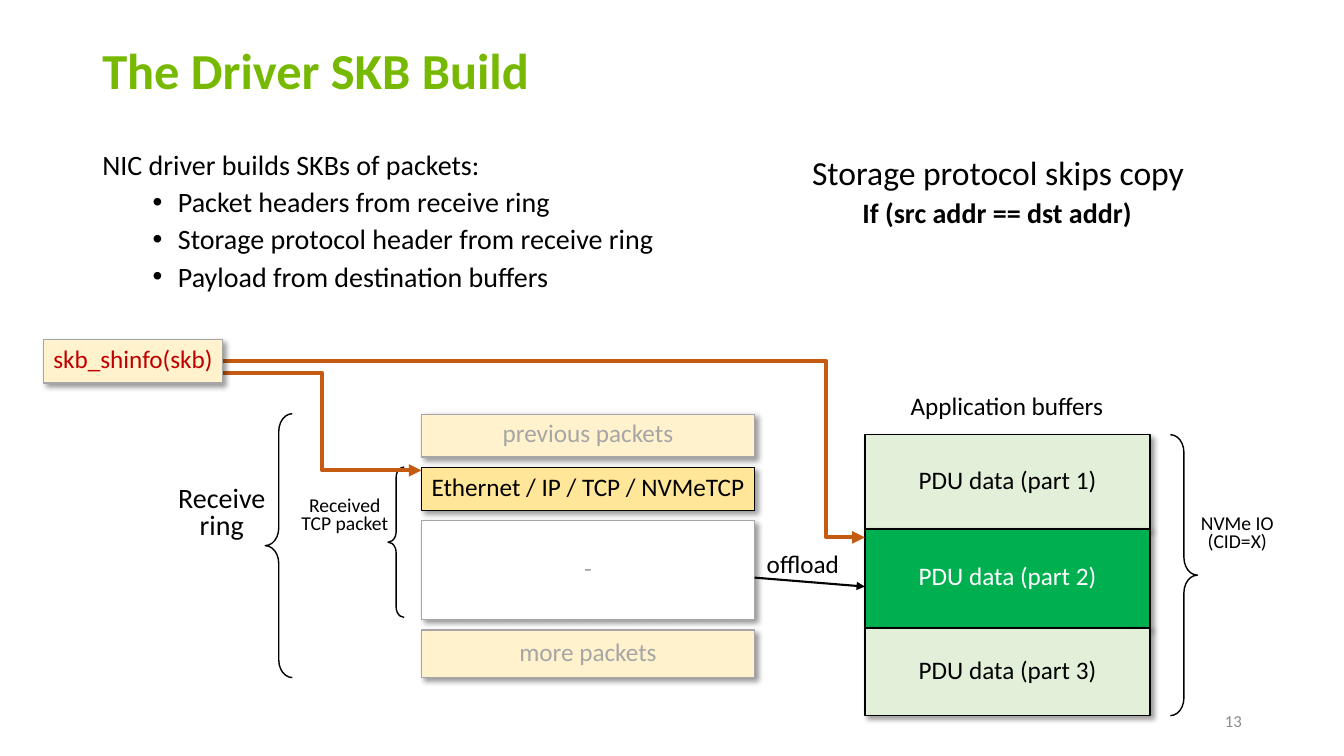
from lxml import etree
from pptx import Presentation
from pptx.dml.color import RGBColor
from pptx.enum.shapes import MSO_CONNECTOR as Link, MSO_SHAPE as Preset
from pptx.enum.text import MSO_ANCHOR as Anchor, PP_ALIGN as Align
from pptx.oxml import parse_xml
from pptx.oxml.ns import nsdecls, qn
from pptx.util import Pt

COLORS = {
    "title": "76B900", "black": "000000", "white": "FFFFFF",
    "cream": "FFF2CC", "header": "FFE699", "pale": "E2F0D9",
    "target": "00B050", "faded": "A6A6A6", "pointer": "C55A11",
    "skb": "C00000", "number": "8C8C8C",
}
FONT = "Calibri"
SHADOW = (
    f'<a:effectLst {nsdecls("a")}><a:outerShdw blurRad="50800" dist="38100" '
    'dir="2700000" algn="tl" rotWithShape="0"><a:srgbClr val="000000">'
    '<a:alpha val="40000"/></a:srgbClr></a:outerShdw></a:effectLst>'
)


def rgb(name):
    return RGBColor.from_string(COLORS[name])


def write(paragraph, text, size=18, color="black", bold=False, align=Align.LEFT,
          spacing=0.8, before=0, indent=0, bullet=None):
    """Fill one paragraph; a bullet hangs 18 pt left of the indent."""
    run = paragraph.add_run()
    run.text = text
    run.font.name, run.font.size, run.font.bold = FONT, Pt(size), bold
    run.font.color.rgb = rgb(color)
    paragraph.alignment = align
    paragraph.line_spacing = spacing
    paragraph.space_before = Pt(before)
    props = paragraph._p.get_or_add_pPr()
    props.set("marL", str(Pt(indent)))
    props.set("indent", str(Pt(-18 if bullet else 0)))
    if bullet:
        etree.SubElement(props, qn("a:buFont")).set("typeface", "Arial")
        etree.SubElement(props, qn("a:buChar")).set("char", bullet)


class SlideBuilder:
    def __init__(self, slide):
        self.shapes = slide.shapes

    def text(self, box, *lines, wrap=True, anchor=Anchor.TOP, **style):
        """Each line is a string, or a pair of string and its own format."""
        frame = self.shapes.add_textbox(*map(Pt, box)).text_frame
        frame.word_wrap = wrap
        frame.vertical_anchor = anchor
        for index, line in enumerate(lines):
            words, own = (line, {}) if isinstance(line, str) else line
            paragraph = frame.add_paragraph() if index else frame.paragraphs[0]
            write(paragraph, words, **{**style, **own})

    def label(self, box, *lines, size=18):
        self.text(box, *lines, wrap=False, size=size, align=Align.CENTER)

    def block(self, box, text, fill, color="black", line="black"):
        shape = self.shapes.add_shape(Preset.RECTANGLE, *map(Pt, box))
        shape.fill.solid()
        shape.fill.fore_color.rgb = rgb(fill)
        shape.line.color.rgb = rgb(line)
        shape.line.width = Pt(1)
        shape._element.spPr.append(parse_xml(SHADOW))
        frame = shape.text_frame
        frame.margin_left = frame.margin_right = 0
        frame.margin_top = frame.margin_bottom = 0
        frame.vertical_anchor = Anchor.MIDDLE
        frame.word_wrap = True
        write(frame.paragraphs[0], text, color=color, align=Align.CENTER)

    def stack(self, left, top, width, gap, rows):
        for height, *look in rows:
            self.block((left, top, width, height), *look)
            top += height + gap

    def brace(self, box, rotation=0):
        brace = self.shapes.add_shape(Preset.RIGHT_BRACE, *map(Pt, box))
        brace.adjustments[0] = 0.65
        brace.rotation = rotation
        brace.shadow.inherit = False
        brace.fill.background()
        brace.line.color.rgb = rgb("black")
        brace.line.width = Pt(1)

    def arrow(self, start, end, color="black", width=1.5, bend=None):
        """A bend is the share of the width at which the elbow turns."""
        kind = Link.STRAIGHT if bend is None else Link.ELBOW
        arrow = self.shapes.add_connector(kind, *map(Pt, (*start, *end)))
        arrow.line.color.rgb = rgb(color)
        arrow.line.width = Pt(width)
        props = arrow._element.spPr
        etree.SubElement(arrow.line._get_or_add_ln(), qn("a:tailEnd")).set("type", "triangle")
        etree.SubElement(props, qn("a:effectLst"))
        if bend is not None:
            guide = etree.SubElement(props.prstGeom.get_or_add_avLst(), qn("a:gd"))
            guide.set("name", "adj1")
            guide.set("fmla", f"val {round(bend * 100000)}")


deck = Presentation()
deck.slide_width, deck.slide_height = Pt(960), Pt(540)
page = SlideBuilder(deck.slides.add_slide(deck.slide_layouts[6]))

# Title and explanations
page.text((66, 28.8, 828, 47.5), "The Driver SKB Build", anchor=Anchor.MIDDLE,
          size=36, color="title", bold=True, spacing=0.9)
item = dict(before=5, indent=54, bullet="•")
page.text((66, 104.4, 481, 116.6),
          ("NIC driver builds SKBs of packets:", dict(before=10)),
          ("Packet headers from receive ring", item),
          ("Storage protocol header from receive ring", item),
          ("Payload from destination buffers", item),
          size=20, spacing=0.9)
page.text((573, 108, 355, 85),
          ("Storage protocol skips copy", dict(size=24, before=10)),
          ("If (src addr == dst addr)", dict(size=20, bold=True, before=5, indent=36)),
          spacing=0.9)

# Receive ring
RING_LEFT, RING_TOP, RING_WIDTH = 301, 296, 238
page.stack(RING_LEFT, RING_TOP, RING_WIDTH, 7.5, [
    (30.5, "previous packets", "cream", "faded", "faded"),
    (30.5, "Ethernet / IP / TCP / NVMeTCP", "header"),
    (70.5, "-", "white", "faded", "faded"),
    (34, "more packets", "cream", "faded", "faded"),
])
page.brace((277.2, 333.5, 11.5, 107.5), rotation=180)
page.label((206, 351.4, 80.6, 34.6), "Received", "TCP packet", size=14)
page.brace((189.4, 295.5, 19.4, 188.5), rotation=180)
page.label((117.4, 344.2, 82, 46.8), "Receive", "ring", size=20)

# Application buffers
BUFFER_LEFT, BUFFER_TOP = 617.8, 310.5
page.label((642.2, 279.4, 154, 25.2), "Application buffers")
page.stack(BUFFER_LEFT, BUFFER_TOP, 203.8, 0, [
    (67.5, "PDU data (part 1)", "pale"),
    (70.5, "PDU data (part 2)", "target", "white"),
    (62.7, "PDU data (part 3)", "pale"),
])
page.brace((836, BUFFER_TOP, 19.4, 200.7))
page.label((850.3, 364.3, 67, 34.6), "NVMe IO", "(CID=X)", size=14)

# Offload of the payload
page.arrow((RING_LEFT + RING_WIDTH, 412.6), (BUFFER_LEFT, 419))
page.label((540, 392.4, 67, 25.2), "offload")

# SKB and its pointers
SKB_RIGHT = 159
page.arrow((SKB_RIGHT, 257.8), (BUFFER_LEFT, 383.8), "pointer", 3, bend=0.94)
page.arrow((SKB_RIGHT, 266.4), (RING_LEFT, 336), "pointer", 3, bend=0.5)
page.block((31, 242.6, SKB_RIGHT - 31, 31), "skb_shinfo(skb)", "cream", "skb", "faded")

# Slide number
page.text((678.2, 500.4, 216, 28.8), "13", anchor=Anchor.MIDDLE, size=12,
          color="number", align=Align.RIGHT, spacing=1.0)

deck.save("out.pptx")
